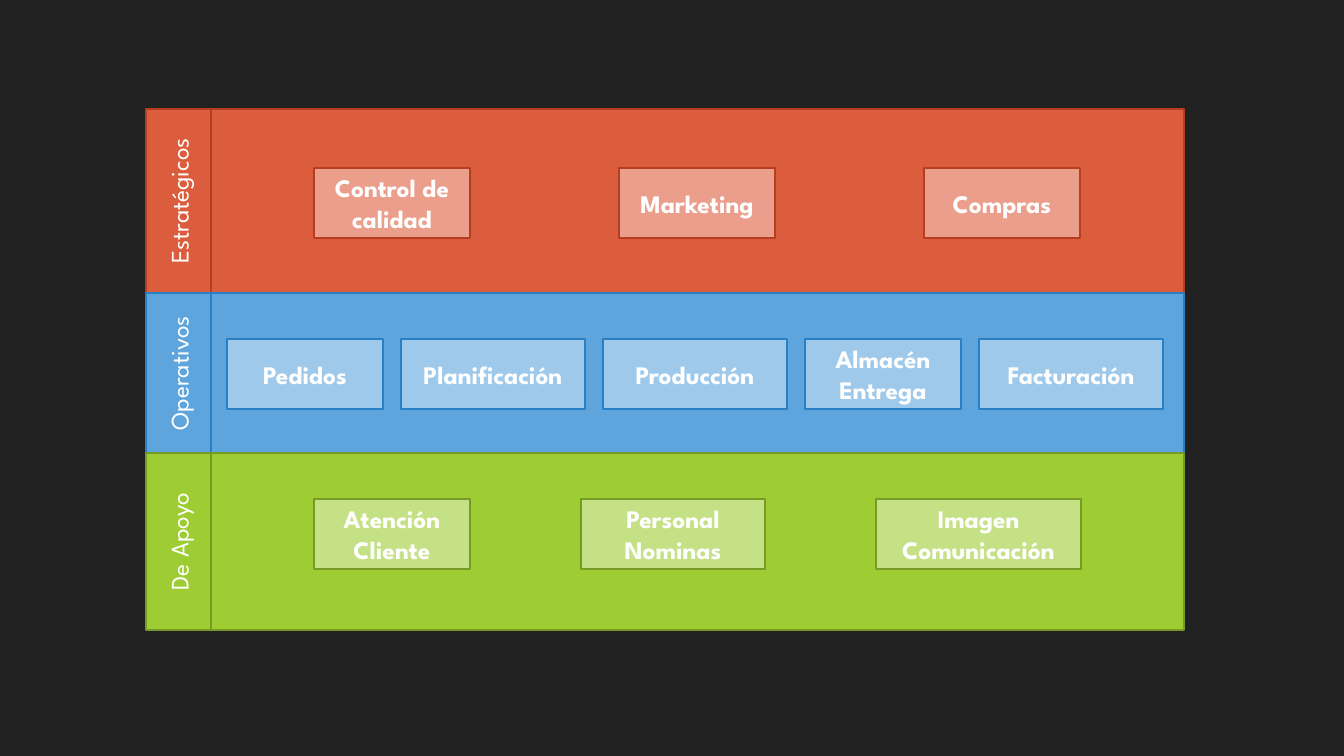
from pptx import Presentation
from pptx.dml.color import RGBColor
from pptx.enum.shapes import MSO_SHAPE
from pptx.enum.text import MSO_ANCHOR, PP_ALIGN
from pptx.util import Pt

EMU_PER_PX = 914400 / 100.8
FONT = "League Spartan"
COLORS = {
    "background": "212121",
    "text": "FFFFFF",
    "red": "DC5D3D", "red_line": "B33E20", "red_box": "EA9E8B",
    "blue": "5EA5DD", "blue_line": "297FC3", "blue_box": "9EC9EB",
    "green": "9ECD33", "green_line": "779A26", "green_box": "C5E185",
}
LABEL_LEFT, LABEL_WIDTH = 146, 65
BAND_LEFT, BAND_WIDTH = 211, 973
BANDS_TOP = 109
BOX_HEIGHT = 70
NARROW, MEDIUM, WIDE = 156, 184, 205

LEVELS = [
    ("Estratégicos", "red", 184, 168, 314, 149,
     [("Control de calidad", NARROW), ("Marketing", NARROW), ("Compras", NARROW)]),
    ("Operativos", "blue", 160, 339, 227, 18,
     [("Pedidos", NARROW), ("Planificación", MEDIUM), ("Producción", MEDIUM),
      ("Almacén Entrega", NARROW), ("Facturación", MEDIUM)]),
    ("De Apoyo", "green", 177, 499, 314, 111,
     [("Atención Cliente", NARROW), ("Personal Nominas", MEDIUM),
      ("Imagen Comunicación", WIDE)]),
]


def px(value):
    return round(value * EMU_PER_PX)


def rgb(name):
    return RGBColor.from_string(COLORS[name])


def add_rect(s, left, top, width, height, fill, line):
    sp = s.shapes.add_shape(MSO_SHAPE.RECTANGLE, px(left), px(top), px(width), px(height))
    sp.shadow.inherit = False
    sp.fill.solid()
    sp.fill.fore_color.rgb = rgb(fill)
    sp.line.color.rgb = rgb(line)
    sp.line.width = Pt(1.25)
    return sp


def set_text(sp, text, bold):
    tf = sp.text_frame
    tf.word_wrap = True
    tf.vertical_anchor = MSO_ANCHOR.MIDDLE
    p = tf.paragraphs[0]
    p.text = text
    p.alignment = PP_ALIGN.CENTER
    p.font.name = FONT
    p.font.size = Pt(18)
    p.font.bold = bold
    p.font.color.rgb = rgb("text")


def add_label(s, text, top, height, color):
    left = LABEL_LEFT + (LABEL_WIDTH - height) / 2
    unrotated_top = top + (height - LABEL_WIDTH) / 2
    sp = add_rect(s, left, unrotated_top, height, LABEL_WIDTH, color, f"{color}_line")
    sp.rotation = 270
    set_text(sp, text, False)


def add_boxes(s, boxes, left, top, gap, color):
    for text, width in boxes:
        sp = add_rect(s, left, top, width, BOX_HEIGHT, f"{color}_box", f"{color}_line")
        set_text(sp, text, True)
        left += width + gap


def main():
    prs = Presentation()
    prs.slide_width, prs.slide_height = px(1344), px(756)
    s = prs.slides.add_slide(prs.slide_layouts[6])
    s.background.fill.solid()
    s.background.fill.fore_color.rgb = rgb("background")

    top = BANDS_TOP
    for label, color, height, box_top, box_left, gap, boxes in LEVELS:
        add_rect(s, BAND_LEFT, top, BAND_WIDTH, height, color, f"{color}_line")
        add_label(s, label, top, height, color)
        add_boxes(s, boxes, box_left, box_top, gap, color)
        top += height

    prs.save("out.pptx")


main()
